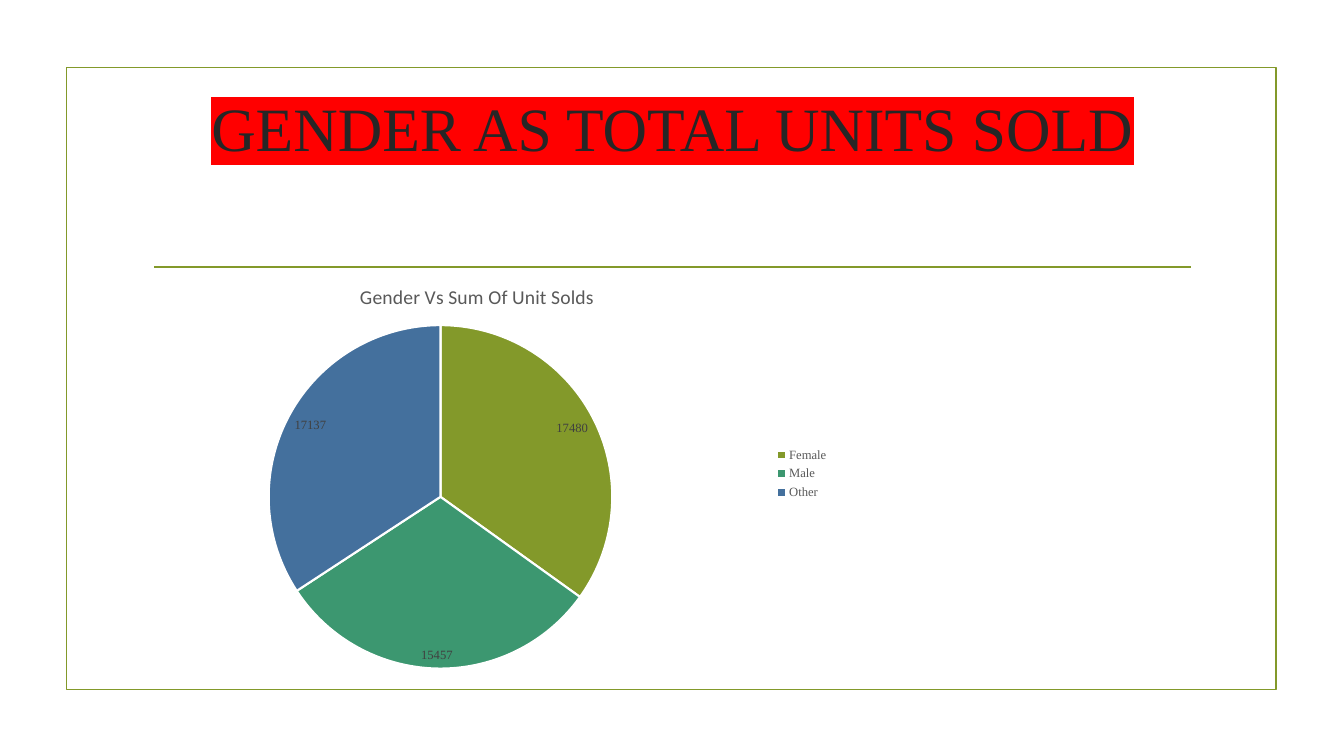
from lxml import etree
from pptx import Presentation
from pptx.chart.data import CategoryChartData
from pptx.dml.color import RGBColor
from pptx.enum.chart import XL_CHART_TYPE, XL_LABEL_POSITION, XL_LEGEND_POSITION
from pptx.enum.shapes import MSO_CONNECTOR, MSO_SHAPE
from pptx.enum.text import MSO_ANCHOR, PP_ALIGN
from pptx.oxml import parse_xml
from pptx.oxml.ns import nsdecls, qn
from pptx.util import Inches, Pt

PIE = XL_CHART_TYPE.PIE
INSIDE_END = XL_LABEL_POSITION.INSIDE_END
LEGEND_RIGHT = XL_LEGEND_POSITION.RIGHT
STRAIGHT = MSO_CONNECTOR.STRAIGHT
RECTANGLE = MSO_SHAPE.RECTANGLE
MIDDLE = MSO_ANCHOR.MIDDLE
CENTER = PP_ALIGN.CENTER

COLORS = {
    "olive": "83992A", "green": "3C9770", "blue": "44709D", "white": "FFFFFF",
    "title": "262626", "highlight": "FF0000", "label": "404040", "muted": "595959",
}
SERIF = "Times New Roman"
SANS = "Calibri"


def rgb(name):
    return RGBColor.from_string(COLORS[name])


def set_layout(parent, index, **fractions):
    for old in parent.findall(qn("c:layout")):
        parent.remove(old)
    target = '<c:layoutTarget val="inner"/>' if "w" in fractions else ""
    modes = "".join(f'<c:{k}Mode val="edge"/>' for k in "xy")
    values = "".join(f'<c:{k} val="{v}"/>' for k, v in fractions.items())
    parent.insert(index, parse_xml(
        f'<c:layout {nsdecls("c")}><c:manualLayout>{target}{modes}{values}'
        '</c:manualLayout></c:layout>'))


class SlideBuilder:
    def __init__(self, slide):
        self.s = slide
        self.accent = rgb("olive")
        self.line_width = Pt(1.25)

    def style_font(self, font, size, color, name=SERIF):
        font.size = Pt(size)
        font.bold = False
        font.color.rgb = rgb(color)
        font.name = name

    def style_line(self, line):
        line.color.rgb = self.accent
        line.width = self.line_width

    def frame(self, x, y, w, h):
        sp = self.s.shapes.add_shape(RECTANGLE, Inches(x), Inches(y), Inches(w), Inches(h))
        sp.shadow.inherit = False
        sp.fill.background()
        self.style_line(sp.line)

    def rule(self, x1, x2, y):
        line = self.s.shapes.add_connector(STRAIGHT, Inches(x1), Inches(y), Inches(x2), Inches(y))
        self.style_line(line.line)
        etree.SubElement(line._element.spPr, qn("a:effectLst"))

    def title(self, text, x, y, w, h):
        sp = self.s.shapes.add_textbox(Inches(x), Inches(y), Inches(w), Inches(h))
        tf = sp.text_frame
        tf.word_wrap = True
        tf.vertical_anchor = MIDDLE
        p = tf.paragraphs[0]
        p.alignment = CENTER
        r = p.add_run()
        r.text = text
        self.style_font(r.font, 44, "title")
        r._r.rPr.find(qn("a:solidFill")).addnext(parse_xml(
            f'<a:highlight {nsdecls("a")}><a:srgbClr val="{COLORS["highlight"]}"/></a:highlight>'))

    def pie(self, heading, values, colors, x, y, w, h):
        data = CategoryChartData()
        data.categories = list(values)
        data.add_series("Series 1", list(values.values()))
        chart = self.s.shapes.add_chart(
            PIE, Inches(x), Inches(y), Inches(w), Inches(h), data).chart
        chart.font.size = Pt(10)
        chart.font.name = SERIF

        chart.has_title = True
        r = chart.chart_title.text_frame.paragraphs[0].add_run()
        r.text = heading
        self.style_font(r.font, 14, "muted", SANS)
        set_layout(chart.chart_title._element, 1, x=0.34, y=0.04)

        chart.has_legend = True
        chart.legend.position = LEGEND_RIGHT
        chart.legend.include_in_layout = False
        self.style_font(chart.legend.font, 9, "muted")

        plot = chart.plots[0]
        plot.vary_by_categories = True
        set_layout(chart._chartSpace.chart.plotArea, 0, x=0.22, y=0.147, w=0.47, h=0.816)
        plot.has_data_labels = True
        labels = plot.data_labels
        labels.show_value = True
        labels.show_percentage = False
        labels.position = INSIDE_END
        self.style_font(labels.font, 9, "label")
        for i, color in enumerate(colors):
            slice_format = plot.series[0].points[i].format
            slice_format.fill.solid()
            slice_format.fill.fore_color.rgb = rgb(color)
            slice_format.line.color.rgb = rgb("white")
            slice_format.line.width = Pt(1.5)


def main():
    prs = Presentation()
    prs.slide_width, prs.slide_height = Inches(13.33), Inches(7.5)
    builder = SlideBuilder(prs.slides.add_slide(prs.slide_layouts[6]))
    builder.frame(0.66, 0.67, 12, 6.17)
    builder.rule(1.53, 11.81, 2.65)
    builder.title("GENDER AS TOTAL UNITS SOLD", 1.42, 0.72, 10.5, 1.08)
    builder.pie("Gender Vs Sum Of Unit Solds",
                {"Female": 17480, "Male": 15457, "Other": 17137},
                ["olive", "green", "blue"], 1.07, 2.61, 7.25, 4.18)
    prs.save("out.pptx")


if __name__ == "__main__":
    main()
